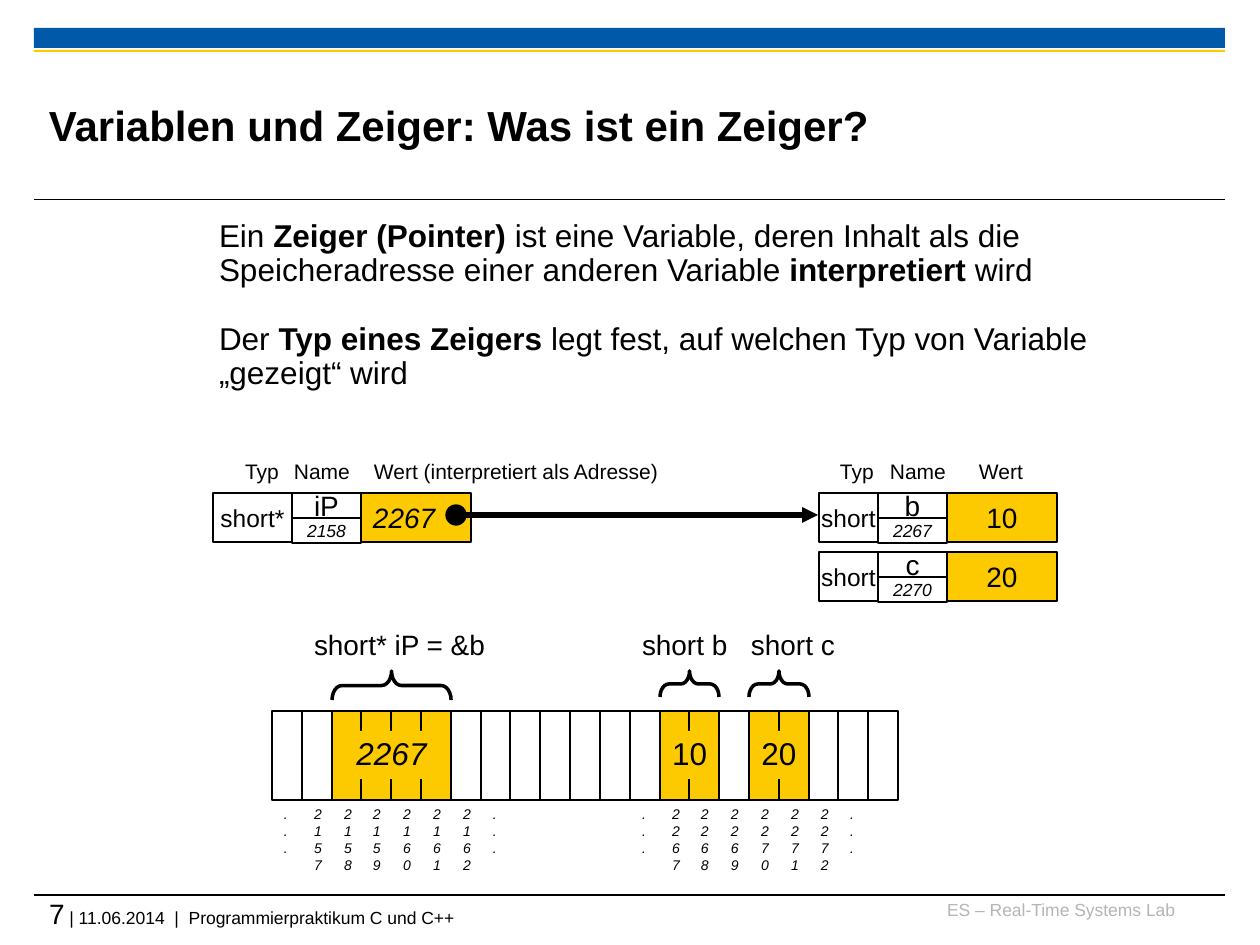
from lxml.etree import SubElement
from pptx import Presentation
from pptx.dml.color import RGBColor
from pptx.enum.shapes import MSO_CONNECTOR, MSO_SHAPE
from pptx.enum.text import MSO_ANCHOR, PP_ALIGN
from pptx.oxml.ns import qn
from pptx.util import Emu, Pt

PX = 914400 / 126
BLACK = RGBColor(0x00, 0x00, 0x00)
WHITE = RGBColor(0xFF, 0xFF, 0xFF)
BLUE = RGBColor(0x00, 0x5A, 0xA9)
YELLOW = RGBColor(0xFD, 0xCA, 0x00)
GREY = RGBColor(0xB5, 0xB5, 0xB5)
LEFT, CENTER, RIGHT = PP_ALIGN.LEFT, PP_ALIGN.CENTER, PP_ALIGN.RIGHT
INSET = (12, 6)


def px(*lengths):
    return [Emu(round(length * PX)) for length in lengths]


def style(paragraph, size, color=BLACK, bold=False, italic=False, align=LEFT):
    paragraph.alignment = align
    font = paragraph.font
    font.name, font.size, font.bold, font.italic = "Arial", Pt(size), bold, italic
    font.color.rgb = color


def write(shape, lines, size, inset=INSET, anchor=MSO_ANCHOR.TOP, wrap=False,
          spacing=None, **look):
    """Fill the shape with paragraphs; each line is a list of (text, bold) runs or a string."""
    frame = shape.text_frame
    frame.word_wrap = wrap
    frame.vertical_anchor = anchor
    frame.margin_left, frame.margin_top = px(*inset)
    frame.margin_right, frame.margin_bottom = px(*inset)
    for index, line in enumerate(lines):
        paragraph = frame.add_paragraph() if index else frame.paragraphs[0]
        style(paragraph, size, **look)
        if spacing:
            paragraph.line_spacing = spacing
        for text, bold in [(line, None)] if isinstance(line, str) else line:
            run = paragraph.add_run()
            run.text = text
            run.font.bold = bold
    return frame


def label(slide, box, text, size, **look):
    return write(slide.shapes.add_textbox(*px(*box)), [text], size, **look)


def block(slide, box, fill, border=True, kind=MSO_SHAPE.RECTANGLE):
    shape = slide.shapes.add_shape(kind, *px(*box))
    shape.shadow.inherit = False
    shape.fill.solid()
    shape.fill.fore_color.rgb = fill
    if border:
        shape.line.color.rgb = BLACK
        shape.line.width = Pt(0.75)
    else:
        shape.line.fill.background()
    return shape


def rule(slide, x1, x2, y, width):
    line = slide.shapes.add_connector(MSO_CONNECTOR.STRAIGHT, *px(x1, y, x2, y))
    line.line.color.rgb = BLACK
    line.line.width = Pt(width)
    SubElement(line._element.spPr, qn("a:effectLst"))
    return line


def draw_header(slide, x, y, width):
    block(slide, (x, y, width, 20), BLUE, border=False)
    block(slide, (x, y + 22, width, 2), YELLOW, border=False)
    rule(slide, x, x + width, y + 172, 0.6)
    label(slide, (x + 15, y + 39, 948, 116), "Variablen und Zeiger: Was ist ein Zeiger?", 24,
          inset=(0, 0), anchor=MSO_ANCHOR.MIDDLE, wrap=True, bold=True)


def draw_footer(slide, x, y, width):
    rule(slide, x, x + width, y, 0.6)
    label(slide, (x + 893, y + 4, 248, 32), "ES – Real-Time Systems Lab", 10,
          inset=(0, 0), wrap=True, color=GREY, align=RIGHT)
    footer = label(slide, (x + 15, y + 2, width - 15, 42),
                   [("7", False), (" | 11.06.2014  |  Programmierpraktikum C und C++", False)],
                   10, inset=(0, 0), wrap=True)
    footer.paragraphs[0].runs[0].font.size = Pt(16)


def draw_definitions(slide, box):
    definitions = [
        [("Ein ", False), ("Zeiger (Pointer)", True),
         (" ist eine Variable, deren Inhalt als die Speicheradresse einer anderen Variable ", False),
         ("interpretiert", True), (" wird", False)],
        [("Der ", False), ("Typ eines Zeigers ", True),
         ("legt fest, auf welchen Typ von Variable „gezeigt“ wird", False)],
    ]
    frame = write(slide.shapes.add_textbox(*px(*box)), definitions, 18, wrap=True, spacing=0.9)
    frame.margin_left = px(75)[0]
    frame.paragraphs[1].space_before = Pt(20)


def draw_headings(slide, y, headings):
    for x, width, text in headings:
        label(slide, (x, y, width, 38), text, 12)


def draw_variable(slide, x, y, type_width, kind, name, address, value, pointer=False):
    """One record: type, name above address, value."""
    name_x = x + type_width
    value_x = name_x + 69
    value_align = LEFT if pointer else CENTER
    parts = [
        ((x, y, type_width, 49), WHITE, kind, 14, False, CENTER),
        ((name_x, y, 69, 25), WHITE, name, 16, False, CENTER),
        ((name_x, y + 25, 69, 25), WHITE, address, 10, True, CENTER),
        ((value_x, y, 110, 49), YELLOW, value, 16, pointer, value_align),
    ]
    for box, fill, text, size, italic, align in parts:
        write(block(slide, box, fill), [text], size, anchor=MSO_ANCHOR.MIDDLE,
              italic=italic, align=align)


def draw_pointer_arrow(slide, x1, x2, y):
    arrow = rule(slide, x1, x2, y, 3)
    SubElement(arrow.line._get_or_add_ln(), qn("a:tailEnd"), type="triangle")
    block(slide, (x1 - 9, y - 10, 20, 20), BLACK, kind=MSO_SHAPE.OVAL)


def draw_brace(slide, x, y, width, height):
    """Brace opening downwards: a left brace turned by 90 degrees about its centre."""
    turned = (x + (width - height) / 2, y + (height - width) / 2, height, width)
    brace = slide.shapes.add_shape(MSO_SHAPE.LEFT_BRACE, *px(*turned))
    brace.rotation = 90
    brace.adjustments[0] = 0.34
    brace.shadow.inherit = False
    brace.fill.background()
    brace.line.color.rgb = BLACK
    brace.line.width = Pt(2)


def draw_memory(slide, x, y, width, height):
    cell_count = 21
    # first cell, cell count, value, plate width, declaration, its offset and width
    stored = [
        (2, 4, "2267", 96, "short* iP = &b", 30, 205),
        (13, 2, "10", 42, "short b", 358, 118),
        (16, 2, "20", 40, "short c", 467, 118),
    ]
    used = {first + i for first, count, *_ in stored for i in range(count)}
    addresses = {0: "...", 7: "...", 12: "...", 19: "..."}
    addresses.update({cell: str(2156 + cell) for cell in range(1, 7)})
    addresses.update({cell: str(2254 + cell) for cell in range(13, 19)})

    def edge(cell):
        return x + round(width * cell / cell_count)

    for cell in range(cell_count):
        block(slide, (edge(cell), y, edge(cell + 1) - edge(cell), height),
              YELLOW if cell in used else WHITE)
    for cell, digits in addresses.items():
        box = (edge(cell), y + height, 33 if digits.isdigit() else 29, 81)
        write(slide.shapes.add_textbox(*px(*box)), digits, 8, italic=True)
    for first, count, value, plate_width, declaration, offset, label_width in stored:
        left, right = edge(first), edge(first + count)
        plate = block(slide, ((left + right - plate_width) / 2, y + 20, plate_width, 48),
                      YELLOW, border=False)
        write(plate, [value], 18, inset=(0, 6), spacing=0.93,
              italic=count == 4, align=CENTER)
        draw_brace(slide, left, y - 40, right - left, 29 if count == 4 else 26)
        label(slide, (x + offset, y - 90, label_width, 47), declaration, 16)


def main():
    deck = Presentation()
    deck.slide_width, deck.slide_height = px(1260, 945)
    slide = deck.slides.add_slide(deck.slide_layouts[6])
    draw_header(slide, 34, 28, 1191)
    draw_footer(slide, 34, 895, 1191)
    draw_definitions(slide, (144, 214, 963, 219))
    draw_headings(slide, 453, [
        (233, 68, "Typ"), (282, 90, "Name"), (362, 322, "Wert (interpretiert als Adresse)"),
        (828, 68, "Typ"), (878, 90, "Name"), (967, 80, "Wert")])
    draw_variable(slide, 213, 493, 79, "short*", "iP", "2158", "2267", pointer=True)
    draw_variable(slide, 819, 493, 59, "short", "b", "2267", "10")
    draw_variable(slide, 819, 552, 59, "short", "c", "2270", "20")
    draw_pointer_arrow(slide, 455, 818, 515)
    draw_memory(slide, 272, 711, 626, 89)
    deck.save("out.pptx")


if __name__ == "__main__":
    main()
